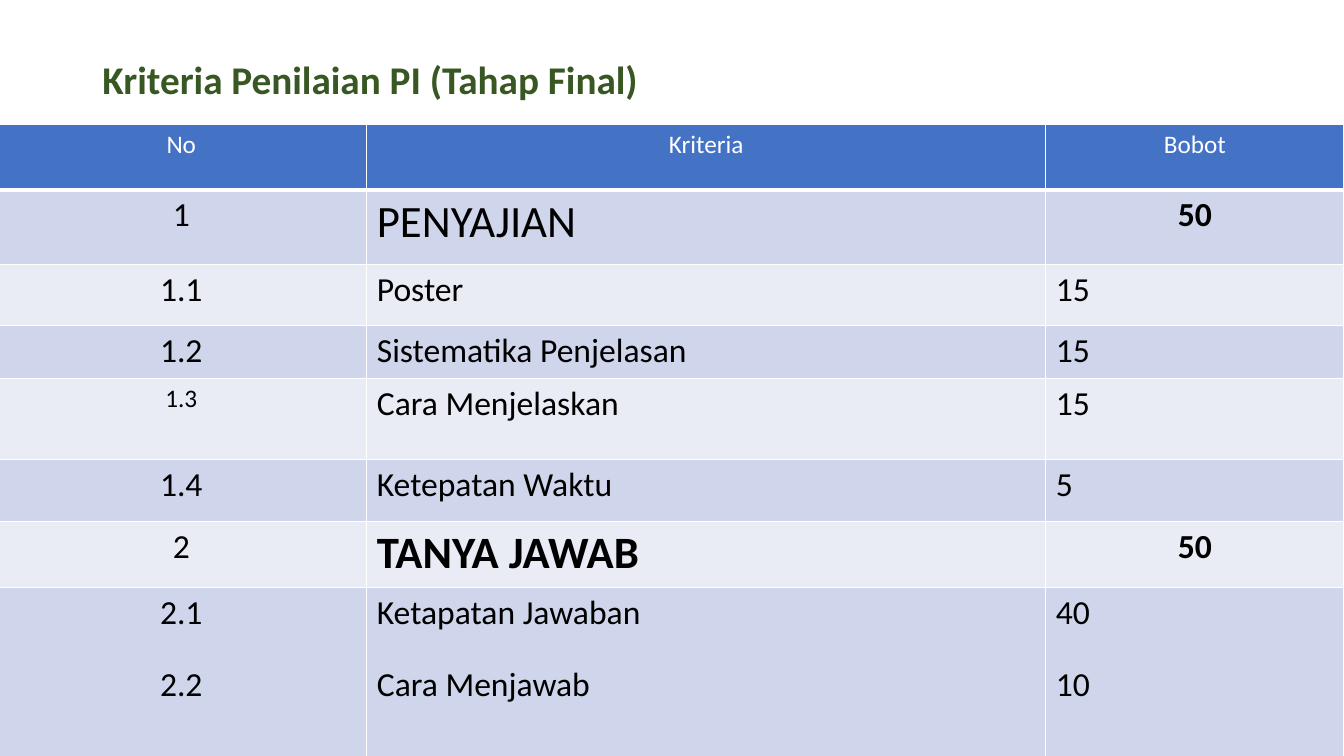
"""Build the slide with the final-stage assessment criteria table."""
from lxml import etree
from pptx import Presentation
from pptx.dml.color import RGBColor
from pptx.enum.text import MSO_ANCHOR, PP_ALIGN
from pptx.oxml.ns import qn
from pptx.util import Pt

LEFT, CENTER = PP_ALIGN.LEFT, PP_ALIGN.CENTER
MIDDLE = MSO_ANCHOR.MIDDLE
TITLE_ONLY = 5

COLORS = {
    "title": "385723",
    "header": "4472C4",
    "odd": "CFD5EA",
    "even": "E9EBF5",
    "white": "FFFFFF",
    "black": "000000",
}

TITLE = "Kriteria Penilaian PI (Tahap Final)"
ROWS = [
    (46.8, ["No"], ["Kriteria"], ["Bobot"]),
    (53.3, ["1"], ["PENYAJIAN"], ["50"]),
    (43.9, ["1.1"], ["Poster"], ["15"]),
    (37.4, ["1.2"], ["Sistematika Penjelasan"], ["15"]),
    (58.3, ["1.3"], ["Cara Menjelaskan"], ["15"]),
    (43.9, ["1.4"], ["Ketepatan Waktu"], ["5"]),
    (47.5, ["2"], ["TANYA JAWAB"], ["50"]),
    (135.4, ["2.1", "2.2"], ["Ketapatan Jawaban", "Cara Menjawab"], ["40", "10"]),
]
COLUMN_WIDTHS = [265, 485, 213]
TABLE_LEFT, TABLE_TOP = -3, 88.8
PARAGRAPH_GAP = 22

SPECIAL_FORMATS = {
    (1, 1): {"size": Pt(32)},
    (1, 2): {"bold": True},
    (4, 0): {"size": Pt(18)},
    (6, 1): {"size": Pt(32), "bold": True},
    (6, 2): {"bold": True},
}
CENTERED_WEIGHTS = {0, 1, 6}


def format_font(font, color, values):
    for name, value in values.items():
        setattr(font, name, value)
    font.color.rgb = RGBColor.from_string(COLORS[color])


def add_borders(cell, bottom_width):
    properties = cell._tc.get_or_add_tcPr()
    widths = {"a:lnL": 1, "a:lnR": 1, "a:lnT": 1, "a:lnB": bottom_width}
    for tag, width in widths.items():
        line = etree.SubElement(properties, qn(tag), w=str(Pt(width)))
        fill = etree.SubElement(line, qn("a:solidFill"))
        etree.SubElement(fill, qn("a:srgbClr"), val=COLORS["white"])


def fill_cell(cell, row, column, lines):
    is_header = row == 0
    add_borders(cell, 3 if is_header else 1)
    cell.fill.solid()
    band = "header" if is_header else "odd" if row % 2 else "even"
    cell.fill.fore_color.rgb = RGBColor.from_string(COLORS[band])
    centered = is_header or column == 0 or (column == 2 and row in CENTERED_WEIGHTS)
    values = {"name": "Calibri", "size": Pt(18 if is_header else 24), "bold": False}
    values.update(SPECIAL_FORMATS.get((row, column), {}))
    for index, text in enumerate(lines):
        frame = cell.text_frame
        paragraph = frame.add_paragraph() if index else frame.paragraphs[0]
        paragraph.alignment = CENTER if centered else LEFT
        if index:
            paragraph.space_before = Pt(PARAGRAPH_GAP)
        run = paragraph.add_run()
        run.text = text
        format_font(run.font, "white" if is_header else "black", values)


def add_title(slide):
    title = slide.shapes.title
    title.left, title.top, title.width, title.height = map(Pt, (66, 28.8, 828, 59.8))
    title.text_frame.vertical_anchor = MIDDLE
    paragraph = title.text_frame.paragraphs[0]
    paragraph.alignment = LEFT
    paragraph.line_spacing = 0.9
    run = paragraph.add_run()
    run.text = TITLE
    format_font(run.font, "title", {"name": "Calibri", "size": Pt(28), "bold": True})


def add_criteria_table(slide):
    height = sum(row[0] for row in ROWS)
    frame = slide.shapes.add_table(
        len(ROWS), len(COLUMN_WIDTHS), Pt(TABLE_LEFT), Pt(TABLE_TOP),
        Pt(sum(COLUMN_WIDTHS)), Pt(height))
    table = frame.table
    for column, width in zip(table.columns, COLUMN_WIDTHS):
        column.width = Pt(width)
    for row, (row_height, *cells) in enumerate(ROWS):
        table.rows[row].height = Pt(row_height)
        for column, lines in enumerate(cells):
            fill_cell(table.cell(row, column), row, column, lines)


def main():
    presentation = Presentation()
    presentation.slide_width, presentation.slide_height = Pt(960), Pt(540)
    slide = presentation.slides.add_slide(presentation.slide_layouts[TITLE_ONLY])
    add_title(slide)
    add_criteria_table(slide)
    presentation.save("out.pptx")


if __name__ == "__main__":
    main()
